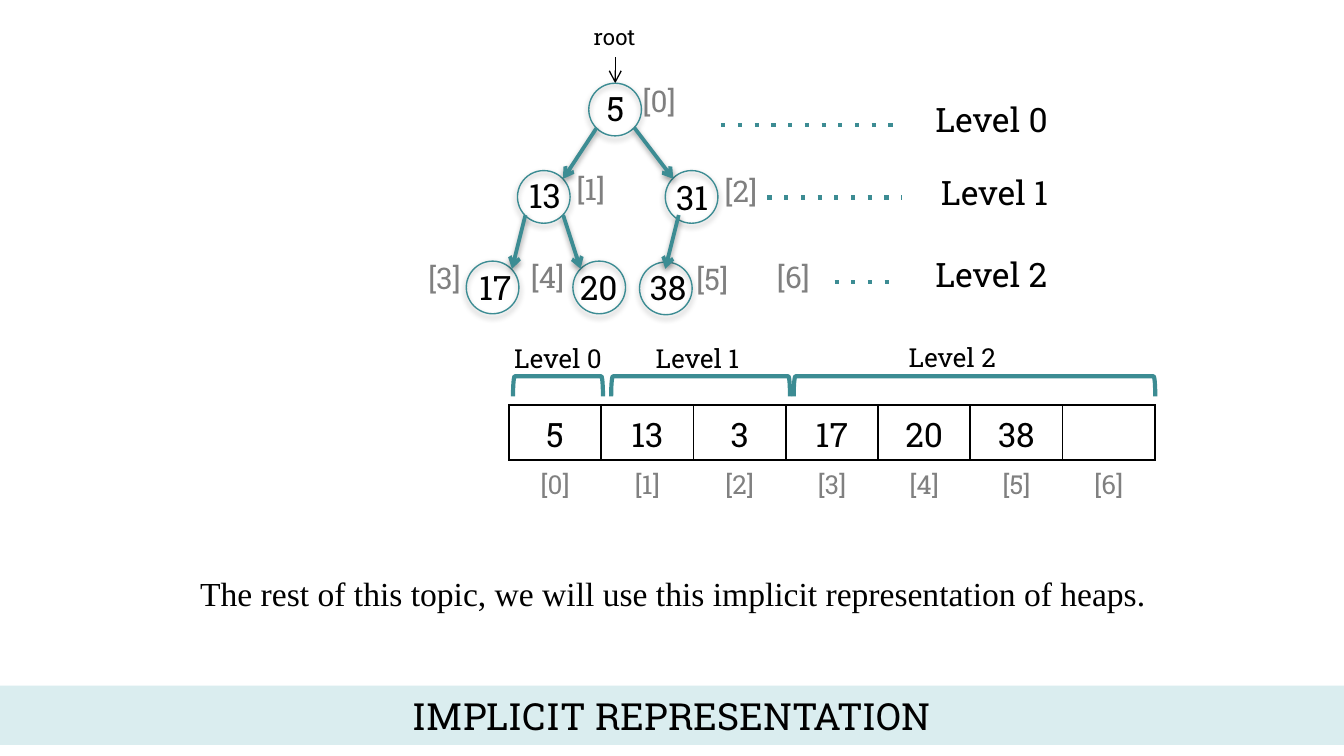
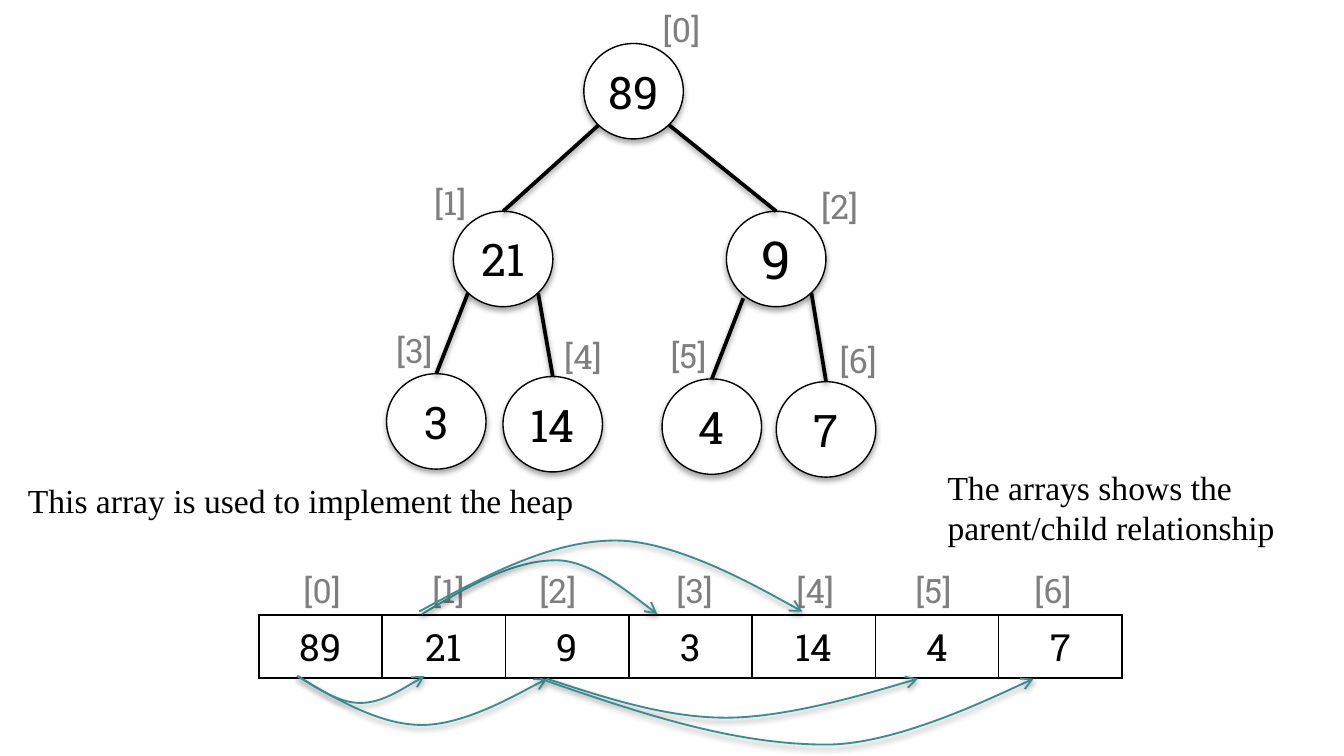
from lxml import etree
from pptx import Presentation
from pptx.dml.color import RGBColor
from pptx.enum.shapes import MSO_CONNECTOR, MSO_SHAPE
from pptx.enum.text import MSO_ANCHOR, MSO_AUTO_SIZE, PP_ALIGN
from pptx.oxml.ns import qn
from pptx.util import Pt

STRAIGHT = MSO_CONNECTOR.STRAIGHT
OVAL, RECT, BRACKET = MSO_SHAPE.OVAL, MSO_SHAPE.RECTANGLE, MSO_SHAPE.LEFT_BRACKET
LEFT, CENTER = PP_ALIGN.LEFT, PP_ALIGN.CENTER
MIDDLE = MSO_ANCHOR.MIDDLE
FIT_TEXT = MSO_AUTO_SIZE.SHAPE_TO_FIT_TEXT

SLAB, SERIF = "Roboto Slab", "Times New Roman"
COLORS = {"ink": "000000", "teal": "3C8C93", "band": "DAEDEF",
          "index": "808080", "pale index": "7F7F7F", "white": "FFFFFF"}
EDGE_SHADOW = {"blur": 3.1, "dist": 1.6, "alpha": 38}
NODE_SHADOW = {"blur": 3.1, "dist": 1.8, "alpha": 35}
INDEXES = [f"[{i}]" for i in range(7)]

# ---- Slide 1: implicit representation ----
TITLE = "IMPLICIT REPRESENTATION"
TOPIC_NOTE = "The rest of this topic, we will use this implicit representation of heaps."
SMALL_NODE = 28.2
# value, circle left and top, then value left, top, width
MIN_HEAP = [("5", 315.4, 44.6, 317.5, 43.7, 24.5),
            ("13", 277.2, 91.4, 276, 90, 31.7),
            ("31", 356.4, 91.4, 355, 91.2, 31.7),
            ("17", 249.8, 139.9, 249.1, 139.7, 32.4),
            ("20", 306.9, 139.9, 303.1, 139.7, 35.3),
            ("38", 342.6, 140.4, 340.6, 139.4, 34.6)]
MIN_HEAP_EDGES = [(319.7, 68.4, 301.7, 95.8), (339.8, 68.4, 360.7, 95.8),
                  (281.5, 115.2, 274.3, 144), (301.7, 115.2, 311, 144),
                  (363.6, 115.2, 356.4, 144)]
# left, top, width of the index beside each node
MIN_HEAP_INDEXES = [(337, 41, 32.4), (301.7, 87.8, 30.2), (381, 88.8, 32.4),
                    (222.3, 135.7, 32.4), (277.2, 134.8, 33.1),
                    (365.8, 135.9, 31.7), (409, 134.8, 32.4)]
# label left, top, width, then dotted line from, to, y
TREE_LEVELS = [("Level 0", 494, 49.7, 75.6, 386.4, 480.2, 66.8),
               ("Level 1", 497, 88.6, 72.7, 411.1, 483.1, 105.8),
               ("Level 2", 494, 132.5, 74.9, 447.1, 480.2, 151)]
# label left, top, width, then bracket left, width
ARRAY_LEVELS = [("Level 0", 268.4, 180, 61.9, 274.8, 48.2),
                ("Level 1", 344.2, 180, 59.8, 327.4, 95.8),
                ("Level 2", 479.7, 179.5, 61.9, 425.2, 193.7)]
MIN_HEAP_ARRAY = ["5", "13", "3", "17", "20", "38", ""]

# ---- Slide 2: array and parent/child links ----
NODE_W, NODE_H = 53.3, 51.1
# value, left, top, size
MAX_HEAP = [("89", 312.8, 23.3, 24), ("21", 242.9, 113.2, 24), ("9", 389.2, 113.2, 28),
            ("3", 207.1, 200.2, 24), ("14", 269.5, 201.7, 24),
            ("4", 354.7, 203, 24), ("7", 415.9, 204.5, 24)]
# where the edge to each child leaves its parent
EDGE_STARTS = [(320.6, 67.1), (358.6, 67.1), (250.7, 157), (288.3, 157),
               (398.2, 159.8), (434.7, 157)]
MAX_HEAP_INDEXES = [(347.8, 1.4, 34.6), (225.4, 93.8, 31.7), (432.7, 96.3, 34.6),
                    (205, 173.4, 35.3), (295, 176.2, 35.3),
                    (352, 175.7, 33.8), (442.6, 178.8, 35.3)]
INDEX_TABS = [69.1, 126.4, 199.8, 264.1, 327.9, 391.6]
# start, peak, end of each parent-to-child arc
ARCS = [((159.8, 362.2), (193, 376.6), (227.5, 362.2)),
        ((159.1, 362.2), (226.1, 388.4), (293, 363.6)),
        ((226.1, 329), (298.1, 300.2), (352.1, 329)),
        ((224.6, 327.6), (329.8, 289.6), (429.8, 327.6)),
        ((293, 363.6), (388.8, 384.5), (491.8, 363.6)),
        ((289.4, 363.6), (442.8, 398.9), (553.7, 363.6))]
ARRAY_NOTE = "This array is used to implement the heap"
LINK_NOTE = "The arrays shows the parent/child relationship"


def rgb(name):
    return RGBColor.from_string(COLORS[name])


def add_xml(parent, tag, **attributes):
    return etree.SubElement(parent, qn(f"a:{tag}"), attributes)


def set_effects(shape, shadow=None):
    """Replace the theme's effects with the given downward shadow, or with none."""
    effects = add_xml(shape._element.spPr, "effectLst")
    if shadow:
        outer = add_xml(effects, "outerShdw", blurRad=str(Pt(shadow["blur"])),
                        dist=str(Pt(shadow["dist"])), dir="5400000", rotWithShape="0")
        tint = add_xml(outer, "srgbClr", val=COLORS["ink"])
        add_xml(tint, "alpha", val=str(shadow["alpha"] * 1000))


def style_line(shape, color, width, dash=None, arrow=False):
    shape.line.color.rgb = rgb(color)
    shape.line.width = Pt(width)
    ln = shape.line._get_or_add_ln()
    if dash:
        add_xml(ln, "prstDash", val=dash)
    if arrow:
        add_xml(ln, "tailEnd", type="arrow")


def write(frame, text, size, color="ink", font=SLAB, align=LEFT):
    paragraph = frame.paragraphs[0]
    paragraph.alignment = align
    run = paragraph.add_run()
    run.text = text
    run.font.size = Pt(size)
    run.font.name = font
    run.font.color.rgb = rgb(color)
    return paragraph


def add_text(slide, text, left, top, width, size, color="ink", font=SLAB,
             align=LEFT, wrap=False, lines=1):
    height = 1.2 * size * lines + 7.2
    frame = slide.shapes.add_textbox(Pt(left), Pt(top), Pt(width), Pt(height)).text_frame
    frame.word_wrap = wrap
    frame.auto_size = FIT_TEXT
    return write(frame, text, size, color, font, align)


def add_indexes(slide, places, size, color):
    for index, (left, top, width) in zip(INDEXES, places):
        add_text(slide, index, left, top, width, size, color)


def add_line(slide, x1, y1, x2, y2, color, width, shadow=None, **ends):
    line = slide.shapes.add_connector(STRAIGHT, Pt(x1), Pt(y1), Pt(x2), Pt(y2))
    style_line(line, color, width, **ends)
    set_effects(line, shadow)


def add_shape(slide, kind, left, top, width, height, fill=None, line=None,
              line_width=0.75, shadow=None):
    shape = slide.shapes.add_shape(kind, Pt(left), Pt(top), Pt(width), Pt(height))
    if fill:
        shape.fill.solid()
        shape.fill.fore_color.rgb = rgb(fill)
    else:
        shape.fill.background()
    if line:
        style_line(shape, line, line_width)
    else:
        shape.line.fill.background()
    set_effects(shape, shadow)
    return shape


def set_borders(cell, sides):
    properties = cell._tc.get_or_add_tcPr()
    for position, side in enumerate("LRTB"):
        border = etree.Element(qn(f"a:ln{side}"), w=str(Pt(1)))
        if side in sides:
            add_xml(add_xml(border, "solidFill"), "srgbClr", val=COLORS["ink"])
        else:
            add_xml(border, "noFill")
        properties.insert(position, border)


def add_array(slide, rows, left, top, column_width, margin_bottom):
    """rows holds (texts, size, colour, bordered sides)."""
    columns, row_height = len(rows[0][0]), 29.4
    table = slide.shapes.add_table(len(rows), columns, Pt(left), Pt(top),
                                   Pt(columns * column_width),
                                   Pt(len(rows) * row_height)).table
    table.first_row = table.horz_banding = False
    for column in table.columns:
        column.width = Pt(column_width)
    for r, (texts, size, color, sides) in enumerate(rows):
        table.rows[r].height = Pt(row_height)
        for c, text in enumerate(texts):
            cell = table.cell(r, c)
            cell.margin_bottom = Pt(margin_bottom)
            cell.fill.background()
            set_borders(cell, sides)
            if text:
                write(cell.text_frame, text, size, color, align=CENTER)


def add_arc(slide, start, peak, end):
    """Draw two cubic curves, from start to peak and from peak to end."""
    (sx, sy), (px, py), (ex, _) = start, peak, end
    controls = [(sx + (px - sx) / 3, (sy + py) / 2), (sx + (px - sx) * 2 / 3, py), peak,
                (px + (ex - px) / 3, py), end, end]
    builder = slide.shapes.build_freeform(Pt(sx), Pt(sy))
    builder.add_line_segments([(Pt(x), Pt(y)) for x, y in controls], close=False)
    arc = builder.convert_to_shape()
    outline = next(arc._element.iter(qn("a:path")))
    for i, segment in enumerate(outline.findall(qn("a:lnTo"))):
        if i % 3 == 0:
            curve = add_xml(outline, "cubicBezTo")
        curve.append(segment[0])
        outline.remove(segment)
    arc.fill.background()
    style_line(arc, "teal", 1, arrow=True)
    set_effects(arc, EDGE_SHADOW)


def build_implicit(slide):
    band = add_shape(slide, RECT, 0, 367.4, 720, 31.7, fill="band")
    band.text_frame.vertical_anchor = MIDDLE
    write(band.text_frame, TITLE, 20, align=CENTER)

    add_array(slide, [(MIN_HEAP_ARRAY, 18, "ink", "LRTB"),
                      (INDEXES, 14, "index", "T")], 272.6, 217.1, 49.45, 1.8)
    bracket_top, depth = 201.6, 10.8
    for level, left, top, width, bracket_left, span in ARRAY_LEVELS:
        bracket = add_shape(slide, BRACKET, bracket_left + (span - depth) / 2,
                            bracket_top + (depth - span) / 2, depth, span,
                            line="teal", line_width=2.25)
        bracket.rotation = 90
        add_text(slide, level, left, top, width, 14)

    add_indexes(slide, MIN_HEAP_INDEXES, 16, "index")
    for level, left, top, width, x1, x2, y in TREE_LEVELS:
        add_line(slide, x1, y, x2, y, "teal", 2.25, dash="dot")
        add_text(slide, level, left, top, width, 18)

    add_text(slide, "root", 311, 9, 37.4, 12)
    add_line(slide, 329.6, 30.8, 329.6, 44.6, "ink", 0.75, arrow=True)
    for _, left, top, *_ in MIN_HEAP:
        add_shape(slide, OVAL, left, top, SMALL_NODE, SMALL_NODE, line="teal",
                  shadow=EDGE_SHADOW)
    for edge in MIN_HEAP_EDGES:
        add_line(slide, *edge, "teal", 2, EDGE_SHADOW, arrow=True)
    for value, _, _, left, top, width in MIN_HEAP:
        add_text(slide, value, left, top, width, 18, align=CENTER)
    add_text(slide, TOPIC_NOTE, 100.2, 303.4, 607.7, 18, font=SERIF, wrap=True)


def build_links(slide):
    values = [value for value, *_ in MAX_HEAP]
    add_array(slide, [(values, 20, "ink", "LRTB")], 138.7, 329.6, 66.05, 3.6)
    index_row = add_text(slide, "\t".join(INDEXES), 155.3, 301.7, 505.4, 18,
                         "pale index", wrap=True, lines=2)
    tabs = add_xml(index_row._p.get_or_add_pPr(), "tabLst")
    for stop in INDEX_TABS:
        add_xml(tabs, "tab", pos=str(Pt(stop)), algn="l")

    for value, left, top, size in MAX_HEAP:
        node = add_shape(slide, OVAL, left, top, NODE_W, NODE_H, "white", "ink",
                         shadow=NODE_SHADOW)
        frame = node.text_frame
        frame.margin_left = frame.margin_right = Pt(2.9)
        frame.vertical_anchor = MIDDLE
        write(frame, value, size, align=CENTER)
    for (x, y), (_, left, top, _) in zip(EDGE_STARTS, MAX_HEAP[1:]):
        add_line(slide, x, y, left + NODE_W / 2, top, "ink", 2, EDGE_SHADOW)
    add_indexes(slide, MAX_HEAP_INDEXES, 18, "pale index")
    for arc in ARCS:
        add_arc(slide, *arc)
    add_text(slide, ARRAY_NOTE, 7.9, 253.4, 314.6, 18, font=SERIF)
    add_text(slide, LINK_NOTE, 500.5, 246.5, 200.9, 18, font=SERIF, wrap=True, lines=3)


def main():
    deck = Presentation()
    deck.slide_width, deck.slide_height = Pt(720), Pt(405)
    for build in (build_implicit, build_links):
        build(deck.slides.add_slide(deck.slide_layouts[6]))
    deck.save("out.pptx")


if __name__ == "__main__":
    main()
